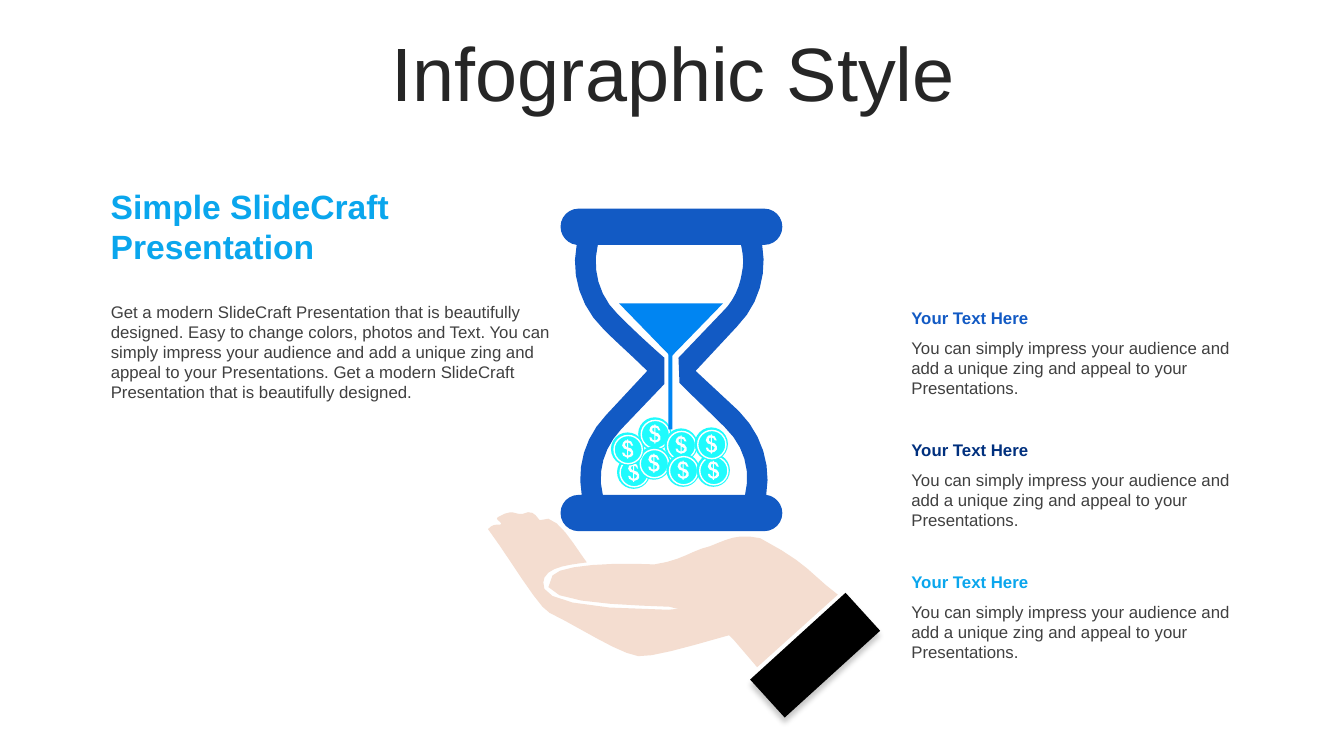
"""Build the infographic slide with an hourglass of coins held by a hand."""
from pptx import Presentation
from pptx.dml.color import RGBColor
from pptx.enum.shapes import MSO_SHAPE
from pptx.enum.text import MSO_ANCHOR, MSO_AUTO_SIZE, PP_ALIGN
from pptx.oxml import parse_xml
from pptx.oxml.ns import nsdecls
from pptx.util import Inches, Pt

BLUE = RGBColor(0x12, 0x5A, 0xC4)
NAVY = RGBColor(0x00, 0x30, 0x7E)
SKY = RGBColor(0x0A, 0xA6, 0xED)
SAND = RGBColor(0x00, 0x85, 0xF2)
CYAN = RGBColor(0x1F, 0xFB, 0xFD)
SKIN = RGBColor(0xF4, 0xDD, 0xD0)
INK = RGBColor(0x26, 0x26, 0x26)
GRAY = RGBColor(0x40, 0x40, 0x40)
WHITE = RGBColor(0xFF, 0xFF, 0xFF)
BLACK = RGBColor(0x00, 0x00, 0x00)

HOURGLASS = [
    [(5.93, 2.43), (5.87, 2.67, 5.94, 2.94, 6.13, 3.12),
     (6.28, 3.27, 6.43, 3.41, 6.59, 3.55), (6.59, 3.81), (6.16, 4.26),
     (5.99, 4.44, 5.92, 4.68, 5.98, 4.91), (7.39, 4.91),
     (7.45, 4.67, 7.38, 4.42, 7.19, 4.24), (7.04, 4.09, 6.89, 3.95, 6.74, 3.8),
     (6.73, 3.55), (7.16, 3.1), (7.28, 2.99, 7.34, 2.84, 7.36, 2.7),
     (7.38, 2.61, 7.37, 2.52, 7.35, 2.43)],
    [(5.74, 2.07), (7.58, 2.07), (7.68, 2.07, 7.76, 2.15, 7.76, 2.25),
     (7.76, 2.35, 7.68, 2.43, 7.58, 2.43), (7.56, 2.43),
     (7.61, 2.71, 7.53, 3.02, 7.31, 3.24), (6.9, 3.68), (7.33, 4.08),
     (7.56, 4.31, 7.65, 4.62, 7.6, 4.91), (7.69, 4.92, 7.76, 5, 7.76, 5.09),
     (7.76, 5.19, 7.68, 5.27, 7.58, 5.27), (5.74, 5.27),
     (5.64, 5.27, 5.56, 5.19, 5.56, 5.09), (5.56, 4.99, 5.64, 4.91, 5.74, 4.91),
     (5.77, 4.91), (5.72, 4.63, 5.8, 4.34, 6.01, 4.12), (6.42, 3.68),
     (6.28, 3.54, 6.13, 3.41, 5.99, 3.27), (5.76, 3.05, 5.66, 2.73, 5.72, 2.43),
     (5.63, 2.42, 5.56, 2.34, 5.56, 2.25), (5.56, 2.15, 5.64, 2.07, 5.74, 2.07)],
]
DOLLAR = [
    [(0.16, 0.15), (0.16, 0.1), (0.14, 0.11), (0.14, 0.13)],
    [(0.17, 0.23), (0.19, 0.22), (0.2, 0.2), (0.19, 0.19), (0.17, 0.18)],
    [(0.17, 0.26), (0.16, 0.26), (0.16, 0.25), (0.14, 0.24), (0.12, 0.23), (0.11, 0.2),
     (0.13, 0.2), (0.14, 0.22), (0.16, 0.23), (0.16, 0.17), (0.13, 0.16), (0.11, 0.13),
     (0.12, 0.1), (0.14, 0.08), (0.16, 0.08), (0.16, 0.07), (0.17, 0.07), (0.17, 0.08),
     (0.2, 0.09), (0.22, 0.13), (0.2, 0.13), (0.19, 0.11), (0.17, 0.1), (0.17, 0.15),
     (0.2, 0.16), (0.22, 0.19), (0.22, 0.22), (0.2, 0.24), (0.17, 0.25)],
]
PALM = [
    [(6.49, 5.6), (6.11, 5.58, 5.56, 5.6, 5.48, 5.71), (5.22, 5.98, 6.12, 6, 6.64, 6.02),
     (6.73, 6.05, 6.93, 6.07, 7.02, 6.1), (7.27, 6.34), (7.51, 6.62), (8.31, 5.9),
     (8.03, 5.69, 8.03, 5.6, 7.54, 5.34), (7.31, 5.29, 7.22, 5.35, 7.04, 5.42),
     (6.86, 5.46, 6.77, 5.56, 6.49, 5.6)],
]
FINGERS = [
    [(5.82, 5.58), (5.71, 5.44, 5.51, 5.06, 5.36, 5.16), (5.34, 5.18, 5.31, 5.03, 5.18, 5.1),
     (5.11, 5.11, 5.09, 5.04, 4.94, 5.13), (4.9, 5.15, 4.98, 5.18, 4.97, 5.2),
     (4.95, 5.22, 4.9, 5.18, 4.84, 5.25), (5.05, 5.53, 5.34, 6.03, 5.45, 6.08),
     (5.74, 6.22, 6.13, 6.48, 6.33, 6.51), (6.52, 6.53, 7.19, 6.3, 7.62, 6.2),
     (7.58, 6.13, 7.22, 5.95, 6.63, 6.05), (5.21, 6.04, 5.39, 5.8, 5.4, 5.73),
     (5.45, 5.62, 5.67, 5.6, 5.82, 5.58)],
]
CURVE_STEPS = 6
COINS = [(6.12, 4.52), (6.33, 4.14), (6.59, 4.25), (6.32, 4.43),
         (6.06, 4.29), (6.61, 4.5), (6.91, 4.5), (6.89, 4.24)]

presentation = Presentation()
presentation.slide_width, presentation.slide_height = Inches(13.33), Inches(7.5)
slide = presentation.slides.add_slide(presentation.slide_layouts[6])


def add_outline(contours, color, left=0, top=0):
    builder = None
    for start, *segments in contours:
        points = [start]
        for segment in segments:
            if len(segment) == 2:
                points.append(segment)
                continue
            x0, y0 = points[-1]
            x1, y1, x2, y2, x3, y3 = segment
            for step in range(1, CURVE_STEPS + 1):
                t = step / CURVE_STEPS
                a, b, c, d = (1 - t) ** 3, 3 * t * (1 - t) ** 2, 3 * t * t * (1 - t), t ** 3
                points.append((a * x0 + b * x1 + c * x2 + d * x3,
                               a * y0 + b * y1 + c * y2 + d * y3))
        points = [(Inches(left + x), Inches(top + y)) for x, y in points]
        if builder is None:
            builder = slide.shapes.build_freeform(*points[0])
        else:
            builder.move_to(*points[0])
        builder.add_line_segments(points[1:], close=True)
    shape = builder.convert_to_shape()
    shape.shadow.inherit = False
    shape.fill.solid()
    shape.fill.fore_color.rgb = color
    shape.line.fill.background()


def add_text(text, box, size, color, bold=False):
    shape = slide.shapes.add_textbox(*map(Inches, box))
    shape.text_frame.word_wrap = True
    shape.text_frame.auto_size = MSO_AUTO_SIZE.SHAPE_TO_FIT_TEXT
    paragraph = shape.text_frame.paragraphs[0]
    run = paragraph.add_run()
    run.text = text
    for name, value in {"name": "Arial", "size": Pt(size), "bold": bold}.items():
        setattr(run.font, name, value)
    run.font.color.rgb = color
    return shape.text_frame


title = add_text("Infographic Style", (0.35, 0.37, 12.66, 0.79), 54, INK)
title.auto_size = MSO_AUTO_SIZE.NONE
title.vertical_anchor = MSO_ANCHOR.MIDDLE
title.paragraphs[0].alignment = PP_ALIGN.CENTER
title.paragraphs[0].line_spacing = 0.9

add_outline(HOURGLASS, BLUE)
for left, top in COINS:
    for inset, size in ((0, 0.33), (0.03, 0.28)):
        disc = slide.shapes.add_shape(MSO_SHAPE.OVAL, Inches(left + inset), Inches(top + inset),
                                      Inches(size), Inches(size))
        disc.shadow.inherit = False
        disc.fill.solid()
        disc.fill.fore_color.rgb = CYAN
        if inset:
            disc.line.color.rgb = WHITE
            disc.line.width = Pt(1)
        else:
            disc.line.fill.background()
    add_outline(DOLLAR, WHITE, left, top)

add_outline(PALM, SKIN)
add_outline(FINGERS, SKIN)

for kind, box, rotation, color in (
    (MSO_SHAPE.ISOSCELES_TRIANGLE, (6.14, 3.01, 1.03, 0.53), 180, SAND),
    (MSO_SHAPE.RECTANGLE, (6.63, 3.47, 0.04, 0.79), 0, SAND),
    (MSO_SHAPE.RECTANGLE, (7.83, 5.86, 0.51, 1.28), 47.7, BLACK),
):
    shape = slide.shapes.add_shape(kind, *map(Inches, box))
    shape.rotation = rotation
    shape.shadow.inherit = False
    shape.fill.solid()
    shape.fill.fore_color.rgb = color
    shape.line.fill.background()
sleeve = shape
sleeve.element.spPr.find("{*}effectLst").append(parse_xml(
    f'<a:outerShdw {nsdecls("a")} blurRad="{Pt(4)}" dist="{Pt(4)}" dir="5400000" rotWithShape="0">'
    '<a:srgbClr val="000000"><a:alpha val="22000"/></a:srgbClr></a:outerShdw>'))

add_text("Simple SlideCraft Presentation", (1, 1.79, 3.86, 0.91), 24, SKY, True)
add_text("Get a modern SlideCraft Presentation that is beautifully designed. Easy to change "
         "colors, photos and Text. You can simply impress your audience and add a unique zing "
         "and appeal to your Presentations. Get a modern SlideCraft Presentation that is "
         "beautifully designed.", (1, 2.94, 4.79, 1.11), 12, GRAY)
for row, color in enumerate((BLUE, NAVY, SKY)):
    top = 3 + 1.31 * row
    add_text("Your Text Here", (8.94, top, 3.39, 0.3), 12, color, True)
    add_text("You can simply impress your audience and add a unique zing and appeal to your "
             "Presentations.", (8.94, top + 0.3, 3.39, 0.71), 12, GRAY)

presentation.save("out.pptx")
